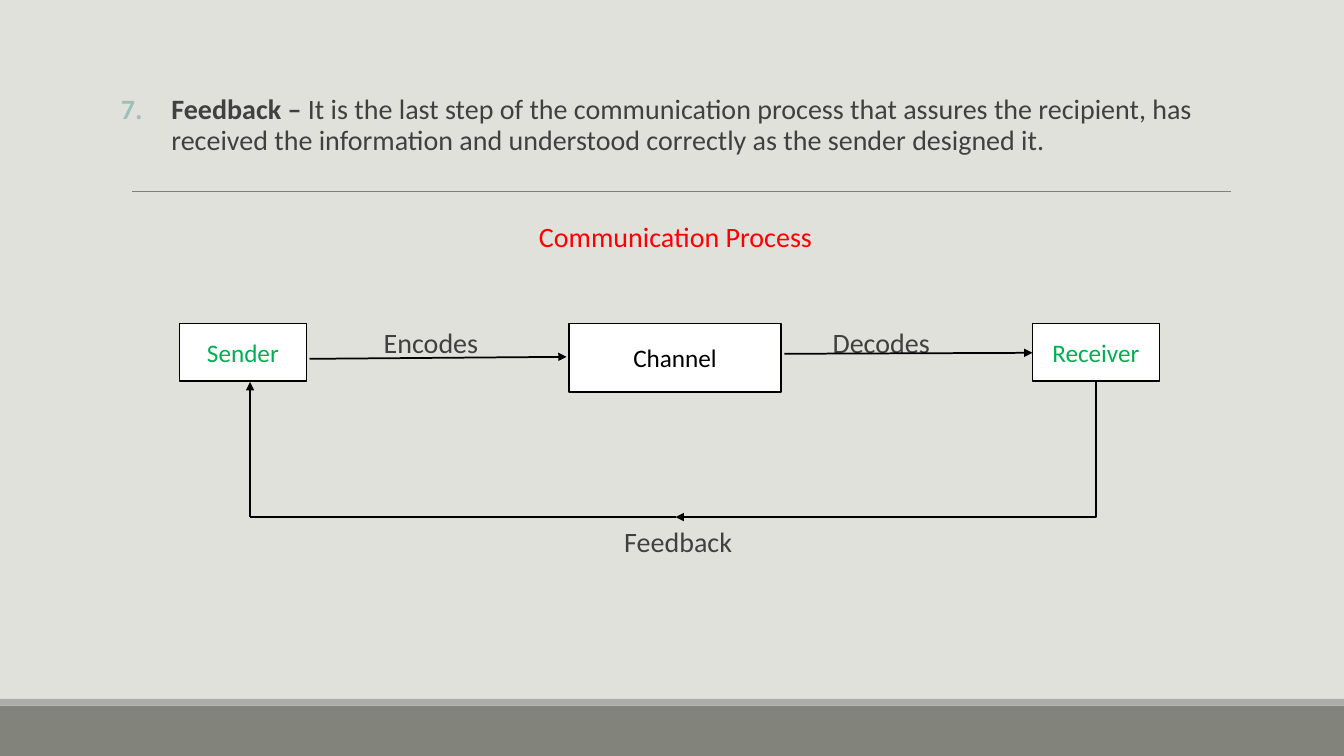
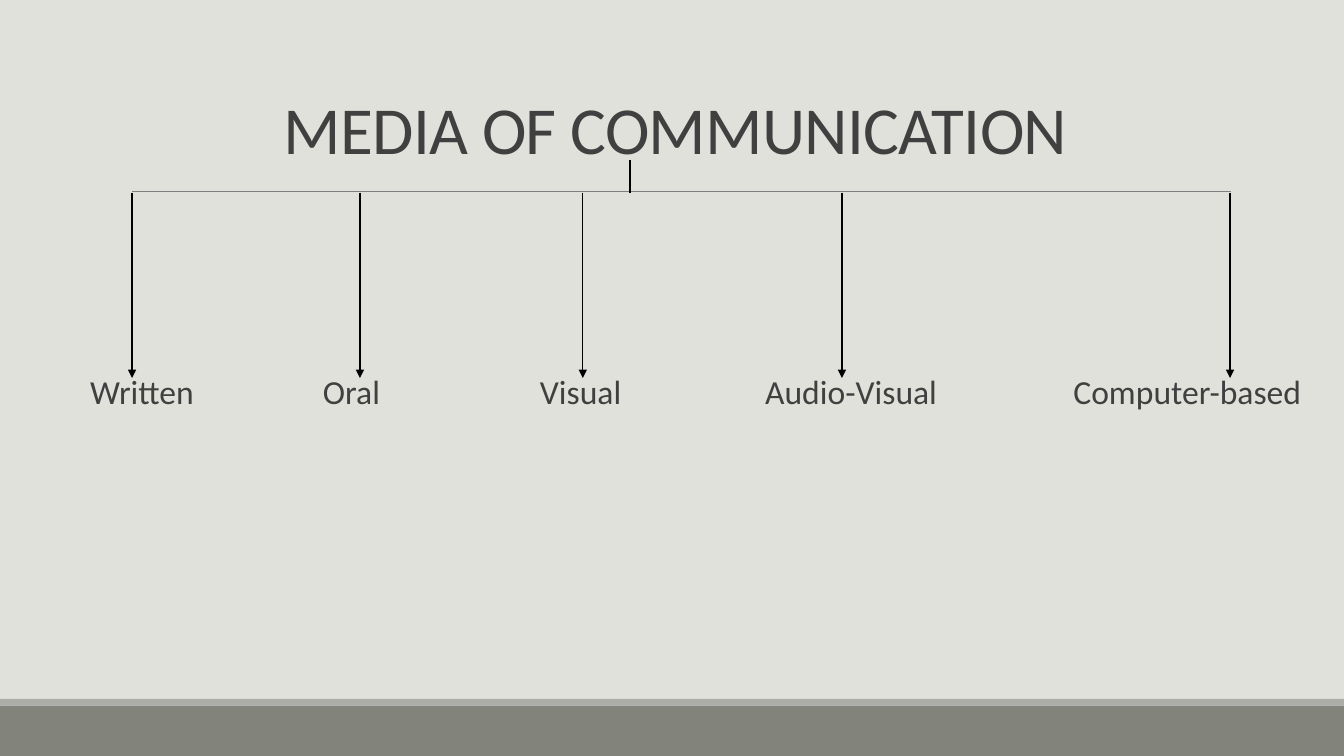
"""Build two slides on the communication process and its media."""
from lxml import etree
from pptx import Presentation
from pptx.dml.color import RGBColor
from pptx.enum.shapes import MSO_CONNECTOR, MSO_SHAPE
from pptx.enum.text import MSO_ANCHOR, MSO_AUTO_SIZE, PP_ALIGN
from pptx.oxml.ns import qn
from pptx.util import Inches, Pt

RECT = MSO_SHAPE.RECTANGLE
LINE = MSO_CONNECTOR.STRAIGHT
MID, LOW, TOP = MSO_ANCHOR.MIDDLE, MSO_ANCHOR.BOTTOM, MSO_ANCHOR.TOP
LEFT, MIDST = PP_ALIGN.LEFT, PP_ALIGN.CENTER
FIXED = MSO_AUTO_SIZE.NONE

COLS, ROWS, CELL = 80, 45, 1 / 6
HEX = {
    "page": "E1E1DB", "band": "82847C", "strip": "ACADA8", "rule": "808080",
    "text": "404040", "mark": "9DBFBE", "red": "FF0000", "green": "00B050",
    "black": "000000", "white": "FFFFFF",
}
RULE = (7.86, 73.26, 11.4)


class Deck:
    """Hold the style and the current slide."""

    def __init__(self):
        """Set the slide size and the page colour."""
        self.prs = Presentation()
        self.prs.slide_width = Inches(13.33)
        self.prs.slide_height = self.at(ROWS)
        self.slide = None
        fill = self.prs.slide_master.background.fill
        fill.solid()
        fill.fore_color.rgb = self.hue("page")

    def at(self, cells):
        """Turn grid cells into a length."""
        return Inches(cells * CELL)

    def hue(self, name):
        """Look up a colour."""
        return RGBColor.from_string(HEX[name])

    def page(self, layout):
        """Start a slide."""
        self.slide = self.prs.slides.add_slide(self.prs.slide_layouts[layout])

    def base(self):
        """Put the bands and the rule on the master."""
        left, right, row = RULE
        parts = [
            self.box(0, 42, COLS, 3, "band"),
            self.box(0, 41.6, COLS, 0.4, "strip"),
            self.line(left, row, right, row, 0.5, "rule", False),
        ]
        tree = self.prs.slide_master.shapes.element
        for num, part in enumerate(parts):
            part.element.xpath(".//p:cNvPr")[0].set("id", str(50 + num))
            tree.insert(2 + num, part.element)

    def frame(self, shape, **form):
        """Format a text frame."""
        text = shape.text_frame
        form = {"word_wrap": True, "auto_size": FIXED, **form}
        for key, value in form.items():
            setattr(text, key, value)
        return text

    def put(self, para, text, size, color="text", bold=False, **form):
        """Add a run and format its paragraph."""
        run = para.add_run()
        run.text = text
        font = {"name": "Calibri", "size": Pt(size), "bold": bold}
        for key, value in font.items():
            setattr(run.font, key, value)
        run.font.color.rgb = self.hue(color)
        for key, value in form.items():
            setattr(para, key, value)
        return run

    def place(self, shape, *spot):
        """Move a shape to grid cells."""
        for key, value in zip(("left", "top", "width", "height"), spot):
            setattr(shape, key, self.at(value))

    def title(self, text):
        """Fill the title."""
        shape = self.slide.shapes.title
        self.place(shape, 7.2, 1.86, 66, 8.46)
        para = self.frame(shape, vertical_anchor=LOW).paragraphs[0]
        run = self.put(para, text, 48, alignment=MIDST, line_spacing=0.85)
        run._r.get_or_add_rPr().set("spc", "-50")

    def body(self, start, term, text, head):
        """Fill the body with a numbered item and a heading."""
        title = self.slide.shapes.title.element
        title.getparent().remove(title)
        shape = self.slide.placeholders[1]
        self.place(shape, 7.2, 5.4, 66, 11.4)
        frame = self.frame(shape, vertical_anchor=TOP, margin_left=0, margin_right=0)
        form = {"line_spacing": 0.9, "space_after": Pt(2)}
        item, top = frame.paragraphs[0], frame.add_paragraph()
        self.put(item, term, 20, bold=True)
        self.put(item, text, 20, alignment=LEFT, space_before=Pt(0), **form)
        self.put(top, head, 20, "red", alignment=MIDST, space_before=Pt(46), **form)
        props = self.dent(item, 3)
        color = etree.SubElement(props, qn("a:buClr"))
        etree.SubElement(color, qn("a:srgbClr"), val=HEX["mark"])
        etree.SubElement(props, qn("a:buFont"), typeface="+mj-lt")
        etree.SubElement(props, qn("a:buAutoNum"), type="arabicPeriod", startAt=str(start))
        etree.SubElement(self.dent(top, 0), qn("a:buNone"))

    def dent(self, para, cells):
        """Set a hanging indent."""
        props = para._p.get_or_add_pPr()
        props.set("marL", str(self.at(cells)))
        props.set("indent", str(-self.at(cells)))
        return props

    def box(self, col, row, wide, high, fill, text="", color="black"):
        """Draw a box, outlined when it holds text."""
        spot = [self.at(cells) for cells in (col, row, wide, high)]
        shape = self.slide.shapes.add_shape(RECT, *spot)
        shape.shadow.inherit = False
        shape.fill.solid()
        shape.fill.fore_color.rgb = self.hue(fill)
        shape.line.fill.background()
        if text:
            shape.line.color.rgb = self.hue("black")
            shape.line.width = Pt(1.25)
            para = self.frame(shape, vertical_anchor=MID).paragraphs[0]
            self.put(para, text, 18, color, alignment=MIDST)
        return shape

    def label(self, col, row, text, size):
        """Set a label centred on a point."""
        wide, high = 15, 3
        spot = [self.at(n) for n in (col - wide / 2, row - high / 2, wide, high)]
        shape = self.slide.shapes.add_textbox(*spot)
        para = self.frame(shape, vertical_anchor=MID).paragraphs[0]
        self.put(para, text, size, alignment=MIDST)

    def line(self, col, row, end, foot, width=1.25, color="black", head=True):
        """Draw a line or an arrow."""
        ends = [self.at(cells) for cells in (col, row, end, foot)]
        shape = self.slide.shapes.add_connector(LINE, *ends)
        shape.line.color.rgb = self.hue(color)
        shape.line.width = Pt(width)
        props = shape.element.spPr
        if head:
            etree.SubElement(props.find(qn("a:ln")), qn("a:tailEnd"), type="triangle")
        etree.SubElement(props, qn("a:effectLst"))
        return shape

    def bend(self, col, row, end, foot):
        """Draw an arrow that goes down, then left."""
        midx, midy = (col + end) / 2, (row + foot) / 2
        wide, high = (foot - row) / 2, (col - end) / 2
        shape = self.line(midx - wide, midy - high, midx + wide, midy + high)
        shape.element.xpath(".//a:prstGeom")[0].set("prst", "bentConnector2")
        shape.element.xpath(".//a:xfrm")[0].set("rot", "5400000")


def process(deck):
    """Build the process slide."""
    deck.body(
        7, "Feedback –",
        " It is the last step of the communication process that assures the recipient, "
        "has received the information and understood correctly as the sender designed it.",
        "Communication Process")
    for col, row, text in ((25.65, 20.36, "Encodes"), (52.44, 20.36, "Decodes"),
                           (40.36, 32.2, "Feedback")):
        deck.label(col, row, text, 20)
    for col, wide, high, text, color in (
            (10.68, 7.56, 3.42, "Sender", "green"),
            (33.84, 12.66, 4.08, "Channel", "black"),
            (61.44, 7.56, 3.42, "Receiver", "green")):
        deck.box(col, 19.26, wide, high, "white", text, color)
    left, mid, right, top, low = 14.88, 40.2, 65.22, 22.74, 30.78
    deck.line(18.42, 21.36, 33.72, 21.24)
    deck.line(46.68, 21.06, 61.44, 21)
    deck.bend(right, top, mid, low)
    deck.line(mid, low, left, low, head=False)
    deck.line(left, low, left, top)


def media(deck):
    """Build the media slide."""
    deck.title("MEDIA OF COMMUNICATION")
    top = 11.46
    deck.line(37.5, 9.54, 37.5, top, 1, head=False)
    for col, spot, text in (
            (7.86, 8.45, "Written"), (21.42, 20.92, "Oral"), (34.68, 34.55, "Visual"),
            (50.1, 50.65, "Audio-Visual"), (73.2, 70.65, "Computer-based")):
        deck.label(spot, 23.27, text, 24)
        deck.line(col, top, col, 22.5, 1)


def main():
    """Build and save the slides."""
    deck = Deck()
    deck.page(1)
    deck.base()
    process(deck)
    deck.page(5)
    media(deck)
    deck.prs.save("out.pptx")


if __name__ == "__main__":
    main()
